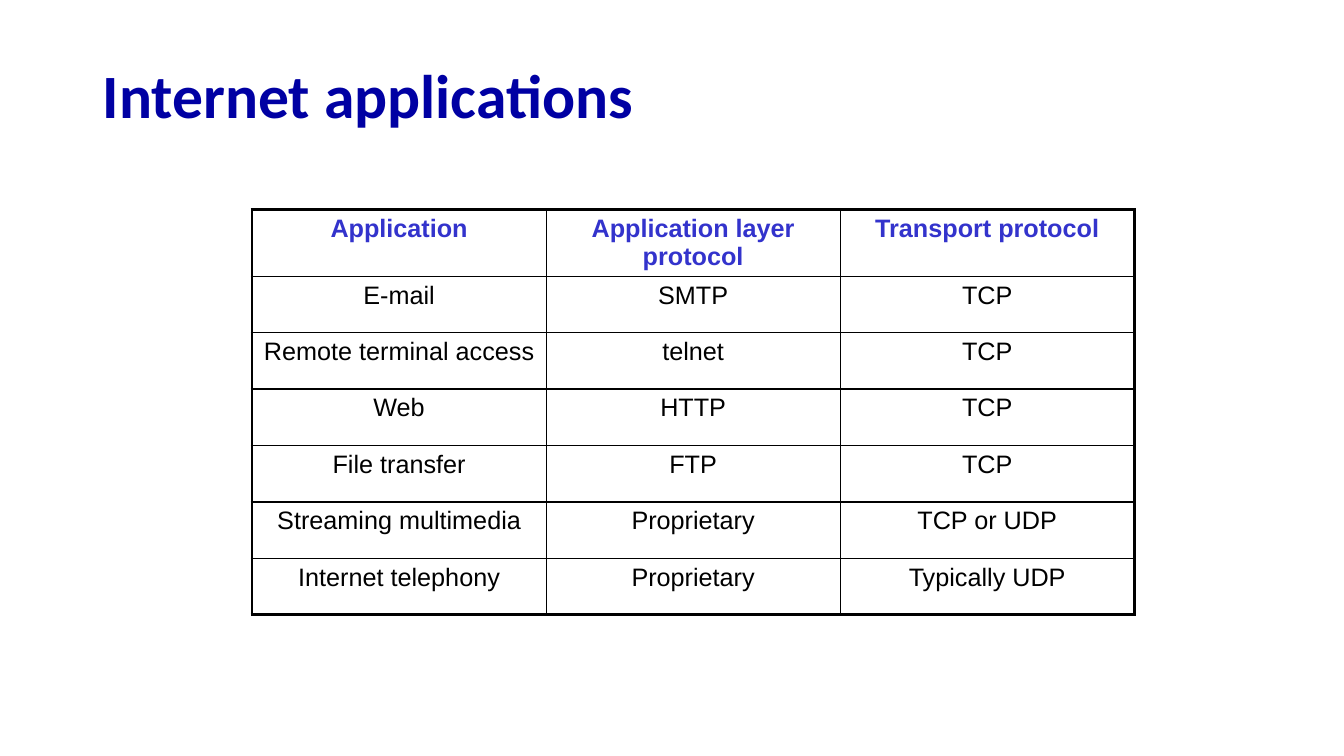
from lxml import etree
from pptx import Presentation
from pptx.dml.color import RGBColor
from pptx.enum.text import MSO_ANCHOR, PP_ALIGN
from pptx.oxml.ns import qn
from pptx.util import Inches, Pt

COLORS = {"title": "0000A3", "header": "3333CC", "text": "000000", "border": "000000"}
OUTER_BORDER, INNER_BORDER = Pt(2.25), Pt(1)
HEADER_HEIGHT, ROW_HEIGHT = Inches(0.66), Inches(0.56)

PROTOCOLS = [
    ("Application", "Application layer protocol", "Transport protocol"),
    ("E-mail", "SMTP", "TCP"),
    ("Remote terminal access", "telnet", "TCP"),
    ("Web", "HTTP", "TCP"),
    ("File transfer", "FTP", "TCP"),
    ("Streaming multimedia", "Proprietary", "TCP or UDP"),
    ("Internet telephony", "Proprietary", "Typically UDP"),
]


def style_font(font, name, size, color, bold):
    font.name = name
    font.size = Pt(size)
    font.bold = bold
    font.color.rgb = RGBColor.from_string(COLORS[color])


def set_borders(cell, outer_sides):
    """Draw all four cell borders, heavier on the sides marked as outer."""
    properties = cell._tc.get_or_add_tcPr()
    for side, is_outer in outer_sides.items():
        width = OUTER_BORDER if is_outer else INNER_BORDER
        line = etree.SubElement(properties, qn(f"a:ln{side}"), w=str(width))
        fill = etree.SubElement(line, qn("a:solidFill"))
        etree.SubElement(fill, qn("a:srgbClr"), val=COLORS["border"])


def add_title(slide, text, left, top, width, height):
    title = slide.shapes.title
    title.left, title.top, title.width, title.height = left, top, width, height
    frame = title.text_frame
    frame.text = text
    frame.vertical_anchor = MSO_ANCHOR.MIDDLE
    paragraph = frame.paragraphs[0]
    paragraph.alignment = PP_ALIGN.LEFT
    paragraph.line_spacing = 0.9
    style_font(paragraph.font, "Calibri", 44, "title", True)


def add_protocol_table(slide, rows, left, top, width):
    last_row, last_column = len(rows) - 1, len(rows[0]) - 1
    height = HEADER_HEIGHT + last_row * ROW_HEIGHT
    table = slide.shapes.add_table(
        len(rows), len(rows[0]), left, top, width, height
    ).table
    table.first_row = False
    table.horz_banding = False
    for row_index, values in enumerate(rows):
        is_header = row_index == 0
        table.rows[row_index].height = HEADER_HEIGHT if is_header else ROW_HEIGHT
        for column_index, value in enumerate(values):
            cell = table.cell(row_index, column_index)
            cell.text = value
            paragraph = cell.text_frame.paragraphs[0]
            paragraph.alignment = PP_ALIGN.CENTER
            color = "header" if is_header else "text"
            style_font(paragraph.font, "Arial", 18, color, is_header)
            set_borders(cell, {
                "L": column_index == 0,
                "R": column_index == last_column,
                "T": is_header,
                "B": row_index == last_row,
            })
            cell.fill.background()


def main():
    presentation = Presentation()
    presentation.slide_width = Inches(13.33)
    presentation.slide_height = Inches(7.5)
    title_only = presentation.slide_layouts[5]
    slide = presentation.slides.add_slide(title_only)
    add_title(slide, "Internet applications",
              Inches(0.92), Inches(0.49), Inches(11.5), Inches(0.98))
    add_protocol_table(slide, PROTOCOLS, Inches(2.5), Inches(2.08), Inches(8.75))
    presentation.save("out.pptx")


if __name__ == "__main__":
    main()
